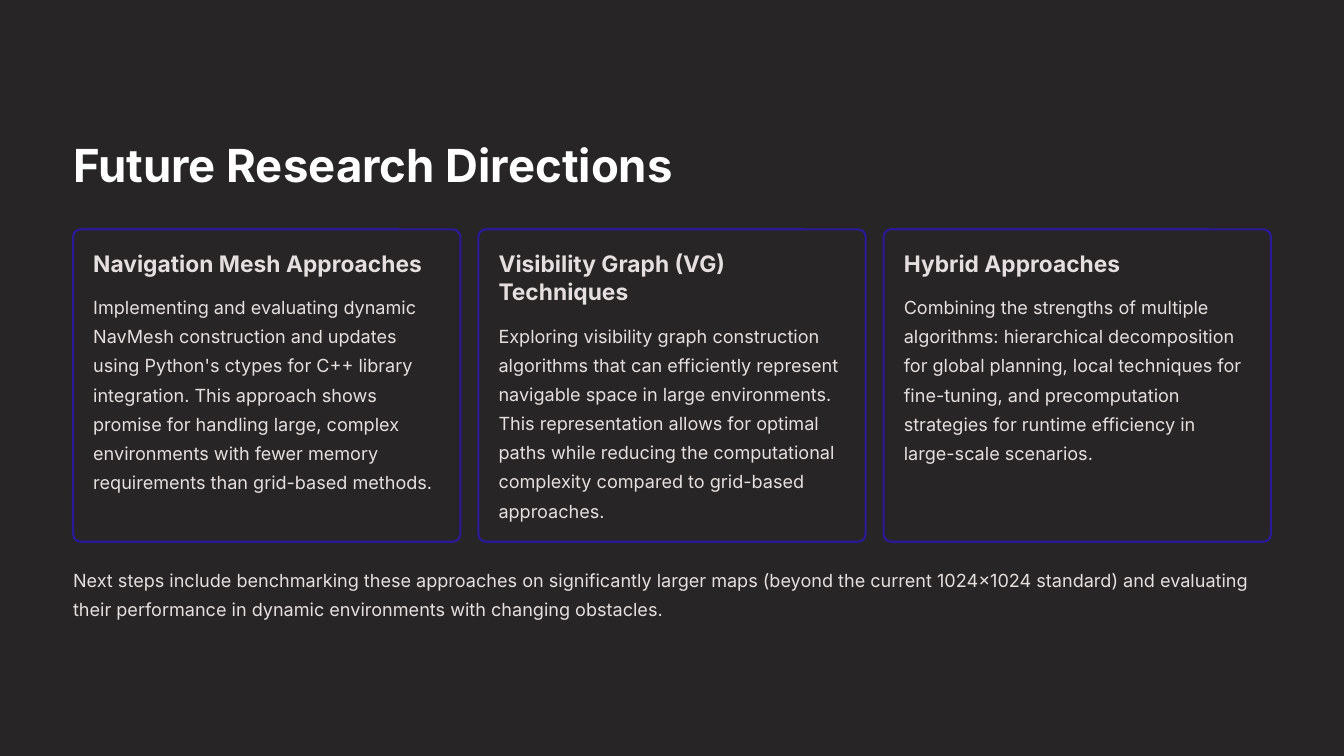
import dataclasses

import pptx
import pptx.dml.color
import pptx.enum.shapes
import pptx.enum.text
import pptx.util
from pptx.util import Inches


@dataclasses.dataclass(frozen=True)
class TextStyle:
    """Size, line spacing, colour and weight of one kind of text."""
    size: float
    leading: float
    color: str
    bold: bool = False


@dataclasses.dataclass(frozen=True)
class Theme:
    """Colours and type styles of the slide."""
    font: str = "Inter"
    background: str = "272525"
    border: str = "2A1999"
    border_width: float = 1.8
    title: TextStyle = TextStyle(39, 48.5, "FFFFFF", True)
    heading: TextStyle = TextStyle(19.5, 24, "E5E0DF", True)
    body: TextStyle = TextStyle(15.5, 25, "E5E0DF")


def rgb(value):
    """Turn a hex string into a colour."""
    return pptx.dml.color.RGBColor.from_string(value)


class SlideBuilder:
    """Draw styled elements on the current slide."""

    def __init__(self, prs, theme):
        """Add a blank slide with the theme background."""
        self.theme = theme
        self.s = prs.slides.add_slide(prs.slide_layouts[6])
        fill = self.s.background.fill
        fill.solid()
        fill.fore_color.rgb = rgb(theme.background)

    def text(self, text, x, y, w, h, style):
        """Add a wrapping text box without margins."""
        tb = self.s.shapes.add_textbox(Inches(x), Inches(y), Inches(w), Inches(h))
        tf = tb.text_frame
        tf.margin_left = tf.margin_right = tf.margin_top = tf.margin_bottom = 0
        tf.vertical_anchor = pptx.enum.text.MSO_ANCHOR.TOP
        tf.word_wrap = True
        p = tf.paragraphs[0]
        p.text = text
        p.line_spacing = pptx.util.Pt(style.leading)
        p.font.name = self.theme.font
        p.font.size = pptx.util.Pt(style.size)
        p.font.bold = style.bold
        p.font.color.rgb = rgb(style.color)

    def frame(self, x, y, w, h):
        """Add an outlined rounded rectangle."""
        sp = self.s.shapes.add_shape(
            pptx.enum.shapes.MSO_SHAPE.ROUNDED_RECTANGLE,
            Inches(x), Inches(y), Inches(w), Inches(h))
        sp.adjustments[0] = 0.024
        sp.shadow.inherit = False
        sp.fill.background()
        sp.line.color.rgb = rgb(self.theme.border)
        sp.line.width = pptx.util.Pt(self.theme.border_width)

    def card(self, x, y, w, h, heading, heading_lines, body, body_height):
        """Add a framed card with a heading and a body below it."""
        self.frame(x, y, w, h)
        pad = 0.24
        left, top, width = x + pad, y + pad, w - 2 * pad
        heading_height = 0.34 * heading_lines
        self.text(heading, left, top, width, heading_height, self.theme.heading)
        self.text(body, left, top + heading_height + 0.13, width, body_height,
                  self.theme.body)


CARDS = [
    ("Navigation Mesh Approaches", 1,
     "Implementing and evaluating dynamic NavMesh construction and updates "
     "using Python's ctypes for C++ library integration. This approach shows "
     "promise for handling large, complex environments with fewer memory "
     "requirements than grid-based methods.", 2.43),
    ("Visibility Graph (VG) Techniques", 2,
     "Exploring visibility graph construction algorithms that can efficiently "
     "represent navigable space in large environments. This representation "
     "allows for optimal paths while reducing the computational complexity "
     "compared to grid-based approaches.", 2.43),
    ("Hybrid Approaches", 1,
     "Combining the strengths of multiple algorithms: hierarchical "
     "decomposition for global planning, local techniques for fine-tuning, and "
     "precomputation strategies for runtime efficiency in large-scale "
     "scenarios.", 2.08),
]
NEXT_STEPS = (
    "Next steps include benchmarking these approaches on significantly larger "
    "maps (beyond the current 1024×1024 standard) and evaluating their "
    "performance in dynamic environments with changing obstacles.")


def main():
    """Build and save the presentation."""
    prs = pptx.Presentation()
    prs.slide_width, prs.slide_height = Inches(16), Inches(9)
    theme = Theme()
    slide = SlideBuilder(prs, theme)
    margin, content_width, card_width = 0.87, 14.26, 4.61
    pitch = (content_width - card_width) / (len(CARDS) - 1)
    slide.text("Future Research Directions", margin, 1.61, 7.4, 0.68, theme.title)
    for i, card in enumerate(CARDS):
        slide.card(margin + i * pitch, 2.73, card_width, 3.72, *card)
    slide.text(NEXT_STEPS, margin, 6.69, content_width, 0.69, theme.body)
    prs.save("out.pptx")


if __name__ == "__main__":
    main()
